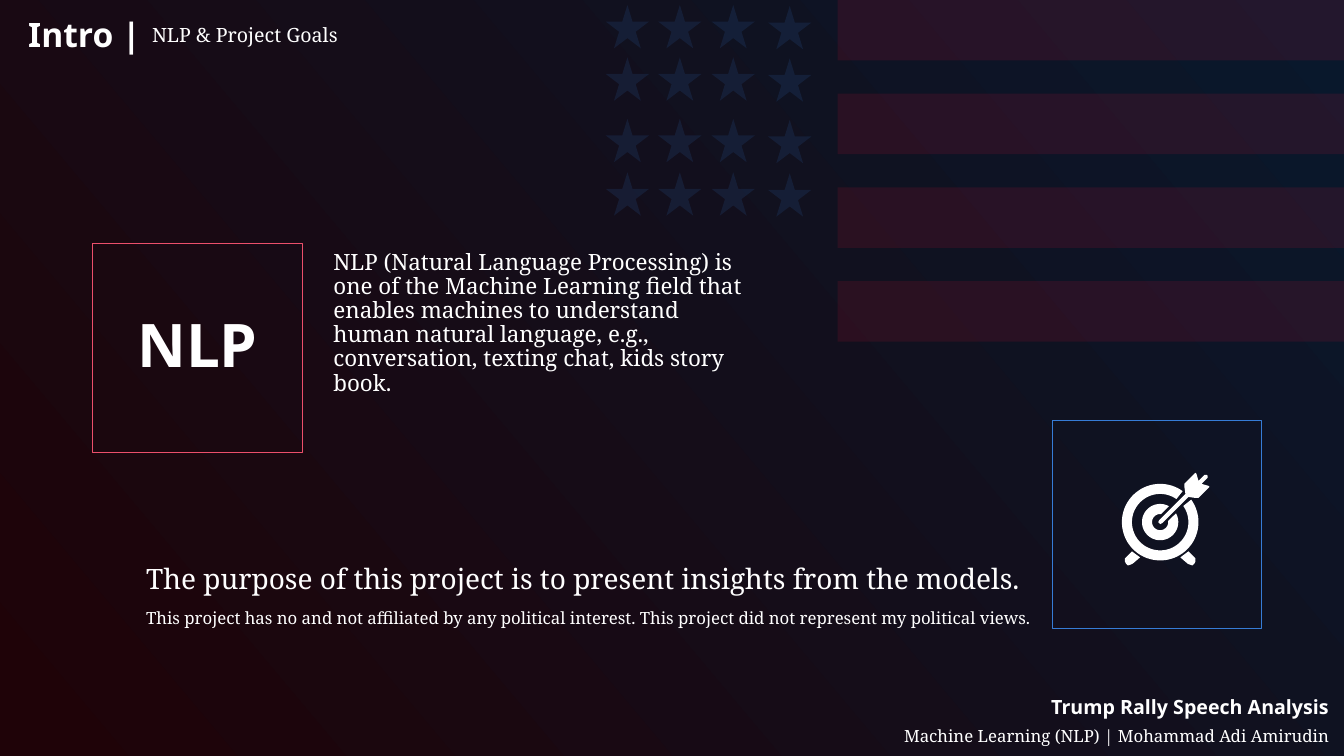
import math
from dataclasses import dataclass

import pptx
import pptx.util
import pptx.dml.color
import pptx.enum.shapes
import pptx.enum.text
import pptx.oxml
import pptx.oxml.ns


@dataclass(frozen=True)
class Theme:
    sans: str = "Noto Sans"
    serif: str = "Noto Serif"
    white: str = "FFFFFF"
    navy: str = "09182C"
    maroon: str = "1F0308"
    blue: str = "367CD6"
    rose: str = "EC4F6B"
    red: str = "D91136"
    faint: int = 13
    badge: float = 42.9
    head: int = 24
    lead: int = 20
    text: int = 16
    label: int = 14
    note: int = 12


T = Theme()
FORM = pptx.enum.shapes.MSO_SHAPE
ANCHOR = pptx.enum.text.MSO_ANCHOR
ALIGN = pptx.enum.text.PP_ALIGN

# Grid of one-inch cells: places are (column, row, columns, rows).
CELL = pptx.util.Inches(1)
WIDE, HIGH = 40 / 3, 7.5

# Each line of text: wording, size, font, bold
TITLE = [("Intro |", T.head, T.sans, True)]
BODY = [
    ("The purpose of this project is to present insights from the models.", T.lead, T.serif, False),
    ("This project has no and not affiliated by any political interest. "
     "This project did not represent my political views.", T.note, T.serif, False),
]
BADGE = [("NLP", T.badge, T.sans, True)]
# Place, anchor, line spacing, lines
NOTES = [
    ((10.33, 6.72, 3, 0.61), ANCHOR.MIDDLE, 0.9,
     [("Trump Rally Speech Analysis", T.label, T.sans, True)]),
    ((8.87, 7.03, 4.71, 0.43), ANCHOR.TOP, 1.6,
     [("Machine Learning (NLP) | Mohammad Adi Amirudin", T.note, T.serif, False)]),
    ((1.41, 0.13, 2.35, 0.38), ANCHOR.BOTTOM, 0.9,
     [("NLP & Project Goals", T.label, T.serif, False)]),
    ((3.21, 2.44, 4.27, 1.56), ANCHOR.TOP, 0.9,
     [("NLP (Natural Language Processing) is one of the Machine Learning field that "
       "enables machines to understand human natural language, e.g., conversation, "
       "texting chat, kids story book.", T.text, T.serif, False)]),
]
FRAMES = [((0.92, 2.42, 2.08, 2.07), T.rose, BADGE), ((10.44, 4.17, 2.08, 2.07), T.blue, [])]

STAR = 0.43
STAR_COLS = [(6.01, 0), (6.53, 0), (7.06, 0), (7.62, 0.01)]  # column, drop
STAR_ROWS = [0.05, 0.57, 1.18, 1.71]
STRIPE_LEFT, STRIPE_HIGH, STRIPE_STEP, STRIPES = 8.31, 0.6, 0.93, 4

# Target icon, measured from its centre
HUB = (11.51, 5.18)
RINGS = [(0.38, 9, 0.28, 10), (0.18, 16, 0.08, 38)]  # outer, half gap, inner, half gap
FOOT = [(0.28, 0.29), (0.2, 0.35), (0.27, 0.41), (0.29, 0.42), (0.32, 0.43),
        (0.34, 0.41), (0.35, 0.39), (0.35, 0.36), (0.34, 0.35)]
DART = [(-0.02, 0), (-0.01, 0.02), (0.25, 0.28), (0.24, 0.35), (0.24, 0.38), (0.26, 0.4),
        (0.34, 0.48), (0.35, 0.49), (0.36, 0.48), (0.38, 0.41), (0.44, 0.47), (0.46, 0.47)]


def color(code):
    return pptx.dml.color.RGBColor.from_string(code)


def scale(place):
    return [round(n * CELL) for n in place]


def move(shape, place):
    shape.left, shape.top, shape.width, shape.height = scale(place)


def write(frame, lines, anchor, space=0.9, align=ALIGN.LEFT):
    frame.word_wrap = True
    frame.auto_size = pptx.enum.text.MSO_AUTO_SIZE.NONE
    frame.vertical_anchor = anchor
    for i, (words, size, face, bold) in enumerate(lines):
        par = frame.add_paragraph() if i else frame.paragraphs[0]
        par.alignment = align
        par.line_spacing = space
        par.space_before = pptx.util.Pt(10 if i else 0)
        props = par._p.get_or_add_pPr()
        props.set("marL", "0")
        props.set("indent", "0")
        pptx.oxml.ns.qn("a:buNone")
        props.append(props.makeelement(pptx.oxml.ns.qn("a:buNone"), {}))
        run = par.add_run()
        run.text = words
        font = run.font
        font.size, font.name, font.bold = pptx.util.Pt(size), face, bold
        font.color.rgb = color(T.white)


def paint(shape, fill, alpha=100):
    shape.shadow.inherit = False
    shape.line.fill.background()
    shape.fill.solid()
    shape.fill.fore_color.rgb = color(fill)
    if alpha < 100:
        tag = pptx.oxml.ns.qn("a:srgbClr")
        tint = next(shape.element.iter(tag))
        tint.append(tint.makeelement(pptx.oxml.ns.qn("a:alpha"), {"val": str(alpha * 1000)}))


def trace(group, points):
    """Draw a white outline from (right, up) offsets around the hub."""
    spots = [scale((HUB[0] + x, HUB[1] - y)) for x, y in points]
    path = group.shapes.build_freeform(*spots[0], scale=1.0)
    path.add_line_segments(spots[1:], close=True)
    paint(path.convert_to_shape(), T.white)


def arc(radius, gap, steps=72):
    """Points round a circle that is open by gap degrees each side of 45."""
    turn = (360 - 2 * gap) / steps
    angles = [math.radians(45 + gap + turn * i) for i in range(steps + 1)]
    return [(radius * math.cos(a), radius * math.sin(a)) for a in angles]


def draw_flag(slide):
    stars = slide.shapes.add_group_shape()
    for left, drop in STAR_COLS:
        for top in STAR_ROWS:
            star = stars.shapes.add_shape(FORM.STAR_5_POINT, *scale((left, top + drop, STAR, STAR)))
            paint(star, T.blue, T.faint)
    bars = slide.shapes.add_group_shape()
    for i in range(STRIPES):
        place = (STRIPE_LEFT, i * STRIPE_STEP, WIDE - STRIPE_LEFT, STRIPE_HIGH)
        paint(bars.shapes.add_shape(FORM.RECTANGLE, *scale(place)), T.red, T.faint)


def draw_icon(slide):
    icon = slide.shapes.add_group_shape()
    for outer, wide, inner, slit in RINGS:
        trace(icon, arc(outer, wide) + arc(inner, slit)[::-1])
    for side in (-1, 1):
        trace(icon, [(side * x, -y) for x, y in FOOT])
    trace(icon, DART + [(y, x) for x, y in reversed(DART)])


def main():
    deck = pptx.Presentation()
    deck.slide_width, deck.slide_height = scale((WIDE, HIGH))
    slide = deck.slides.add_slide(deck.slide_layouts[1])

    back = slide.background.fill
    back.gradient()
    back.gradient_angle = 220
    for stop, code, spot in zip(back.gradient_stops, (T.navy, T.maroon), (0, 0.99)):
        stop.color.rgb, stop.position = color(code), spot

    title, body = slide.placeholders
    move(title, (0.18, -0.01, 1.77, 0.6))
    write(title.text_frame, TITLE, ANCHOR.BOTTOM)
    move(body, (1.35, 5.56, 11.5, 1.89))
    write(body.text_frame, BODY, ANCHOR.TOP)

    draw_flag(slide)
    for place, edge, lines in FRAMES:
        box = slide.shapes.add_shape(FORM.RECTANGLE, *scale(place))
        box.shadow.inherit = False
        box.fill.background()
        box.line.color.rgb = color(edge)
        box.line.width = pptx.util.Pt(0.75)
        write(box.text_frame, lines, ANCHOR.MIDDLE, align=ALIGN.CENTER)
    draw_icon(slide)
    for place, anchor, space, lines in NOTES:
        write(slide.shapes.add_textbox(*scale(place)).text_frame, lines, anchor, space)

    deck.save("out.pptx")


if __name__ == "__main__":
    main()
